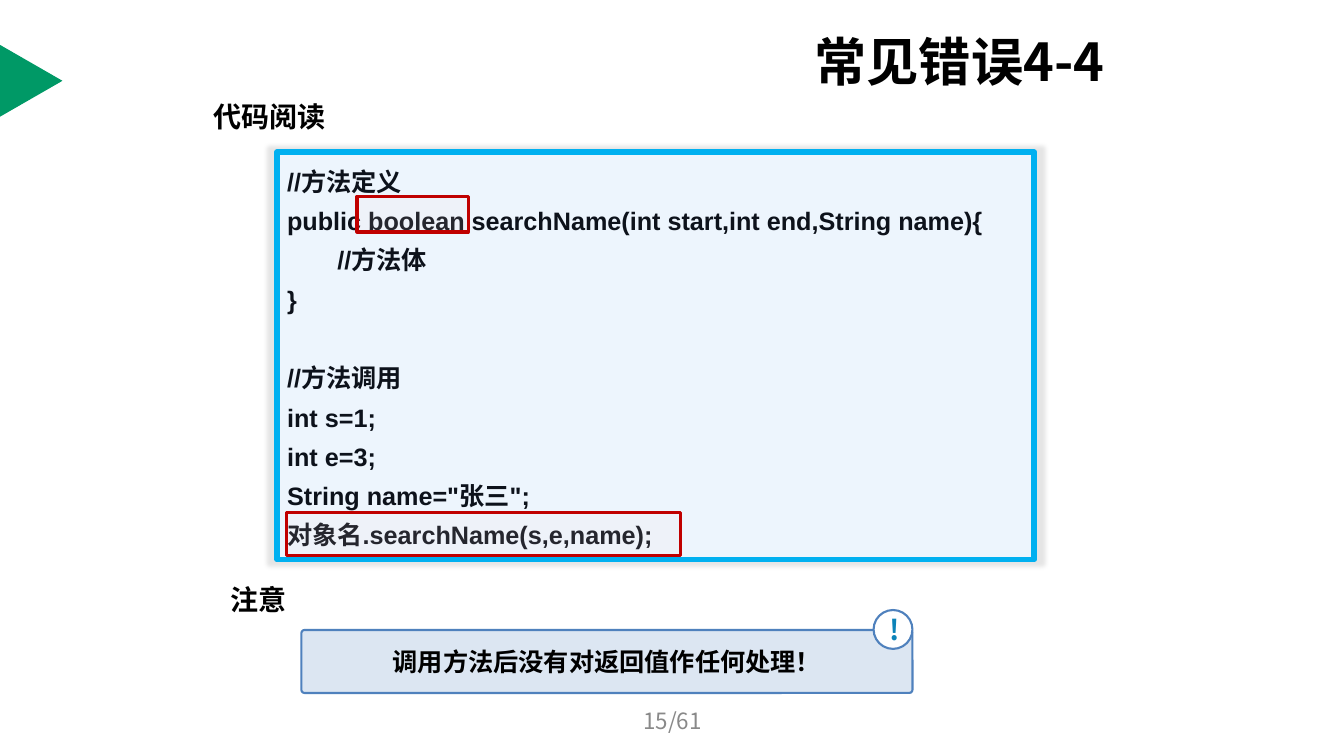
import pptx
import pptx.util
import pptx.dml.color
import pptx.enum.shapes
import pptx.enum.text
import pptx.oxml.ns
from dataclasses import dataclass
from lxml import etree

PX = 9525  # EMU per px, 96 px to the inch
SHAPE = pptx.enum.shapes.MSO_SHAPE
ALIGN = pptx.enum.text.PP_ALIGN
ANCHOR = pptx.enum.text.MSO_ANCHOR
qn = pptx.oxml.ns.qn


@dataclass(frozen=True)
class Theme:
    font: str = "Noto Sans CJK SC"
    code_font: str = "Arial"
    title_size: float = 37.3
    label_size: int = 20
    body_size: int = 18
    page_size: int = 16
    black: str = "000000"
    white: str = "FFFFFF"
    green: str = "009966"
    code_text: str = "0D121B"
    code_fill: str = "EDF5FD"
    code_line: str = "00B0F0"
    mark_fill: str = "FFDDDD"
    mark_line: str = "C00000"
    note_fill: str = "DCE6F2"
    note_line: str = "4F81BD"
    badge_text: str = "0C83B8"
    page_text: str = "898989"


T = Theme()

CODE = [
    [
        "//方法定义",
        "public boolean searchName(int start,int end,String name){",
        "\t\t//方法体",
        "}",
    ],
    [
        "//方法调用",
        "int s=1;",
        "int e=3;",
        'String name="张三";',
        "对象名.searchName(s,e,name);",
    ],
]


def rgb(value):
    return pptx.dml.color.RGBColor.from_string(value)


def box(*px):
    return [v * PX for v in px]


def style(p, size, color, bold=True, font=T.font, align=ALIGN.LEFT):
    p.alignment = align
    f = p.font
    f.name, f.size, f.bold = font, pptx.util.Pt(size), bold
    f.color.rgb = rgb(color)
    etree.SubElement(f._element, qn("a:ea"), typeface=T.font)


def add_shadow(parent, alpha, **attrs):
    """Append an outer shadow to a properties element."""
    effects = parent.find(qn("a:effectLst"))
    if effects is None:
        effects = etree.SubElement(parent, qn("a:effectLst"))
    outer = etree.SubElement(effects, qn("a:outerShdw"), **attrs)
    color = etree.SubElement(outer, qn("a:srgbClr"), val=T.black)
    etree.SubElement(color, qn("a:alpha"), val=str(alpha * 1000))


def add_panel(slide, kind, px, fill, line=None, width=1.5, radius=None):
    sp = slide.shapes.add_shape(kind, *box(*px))
    sp.shadow.inherit = False
    sp.fill.solid()
    sp.fill.fore_color.rgb = rgb(fill)
    if line:
        sp.line.color.rgb = rgb(line)
        sp.line.width = pptx.util.Pt(width)
    else:
        sp.line.fill.background()
    if radius is not None:
        sp.adjustments[0] = radius
    return sp


def set_centred(sp, text, size, color):
    tf = sp.text_frame
    tf.vertical_anchor = ANCHOR.MIDDLE
    tf.text = text
    style(tf.paragraphs[0], size, color, align=ALIGN.CENTER)


def add_label(slide, px, text):
    tf = slide.shapes.add_textbox(*box(*px)).text_frame
    tf.word_wrap = False
    p = tf.paragraphs[0]
    r = p.add_run()
    r.text = text
    style(p, T.label_size, T.black)
    add_shadow(r.font._element, 43, blurRad="38100", dist="38100", dir="2700000")


def add_mark(slide, px):
    sp = add_panel(slide, SHAPE.RECTANGLE, px, T.mark_fill, T.mark_line, 2.25)
    color = sp._element.spPr.find(qn("a:solidFill"))[0]
    etree.SubElement(color, qn("a:alpha"), val="10000")


def add_code(slide, px):
    sp = add_panel(slide, SHAPE.ROUNDED_RECTANGLE, px, T.code_fill,
                   T.code_line, 4, radius=0)
    add_shadow(sp._element.spPr, 10, blurRad="38100", sx="102000",
               sy="102000", algn="ctr")
    tf = sp.text_frame
    tf.vertical_anchor = ANCHOR.TOP
    for b, block in enumerate(CODE):
        for i, line in enumerate(block):
            p = tf.add_paragraph() if b or i else tf.paragraphs[0]
            tabs = etree.SubElement(p._p.get_or_add_pPr(), qn("a:tabLst"))
            etree.SubElement(tabs, qn("a:tab"), pos=str(47 * PX), algn="l")
            p.add_run().text = line
            p.line_spacing = 1.3
            if b and not i:
                p.space_before = pptx.util.Pt(28)
            style(p, T.body_size, T.code_text, font=T.code_font)


def set_title(slide, px, text):
    sp = slide.shapes.title
    sp.left, sp.top, sp.width, sp.height = box(*px)
    tf = sp.text_frame
    tf.text = text
    tf.auto_size = pptx.enum.text.MSO_AUTO_SIZE.NONE
    tf.vertical_anchor = ANCHOR.MIDDLE
    style(tf.paragraphs[0], T.title_size, T.black)


def add_page_number(slide, px, text):
    tf = slide.shapes.add_textbox(*box(*px)).text_frame
    tf.word_wrap = True
    tf.vertical_anchor = ANCHOR.MIDDLE
    tf.text = text
    style(tf.paragraphs[0], T.page_size, T.page_text, bold=False,
          align=ALIGN.CENTER)


def main():
    prs = pptx.Presentation()
    prs.slide_width, prs.slide_height = box(1280, 720)
    slide = prs.slides.add_slide(prs.slide_layouts[5])

    # Heading and edge arrow
    arrow = add_panel(slide, SHAPE.ISOSCELES_TRIANGLE, (-5, 47, 69, 60), T.green)
    arrow.rotation = 90
    set_title(slide, (766, 30, 335, 55), "常见错误4-4")

    # Code with the two marked places
    add_label(slide, (194, 90, 128, 42), "代码阅读")
    add_code(slide, (264, 145, 721, 388))
    add_mark(slide, (273, 488, 375, 41))
    add_mark(slide, (340, 187, 106, 34))

    # Note with its badge
    add_label(slide, (210, 550, 74, 42), "注意")
    note = add_panel(slide, SHAPE.ROUNDED_RECTANGLE, (287, 600, 582, 60),
                     T.note_fill, T.note_line, radius=0.05)
    set_centred(note, "调用方法后没有对返回值作任何处理！", T.body_size, T.black)
    badge = add_panel(slide, SHAPE.OVAL, (832, 581, 37, 37), T.white, T.note_line)
    set_centred(badge, "!", T.label_size, T.badge_text)

    add_page_number(slide, (438, 667, 405, 38), "15/61")
    prs.save("out.pptx")


if __name__ == "__main__":
    main()
